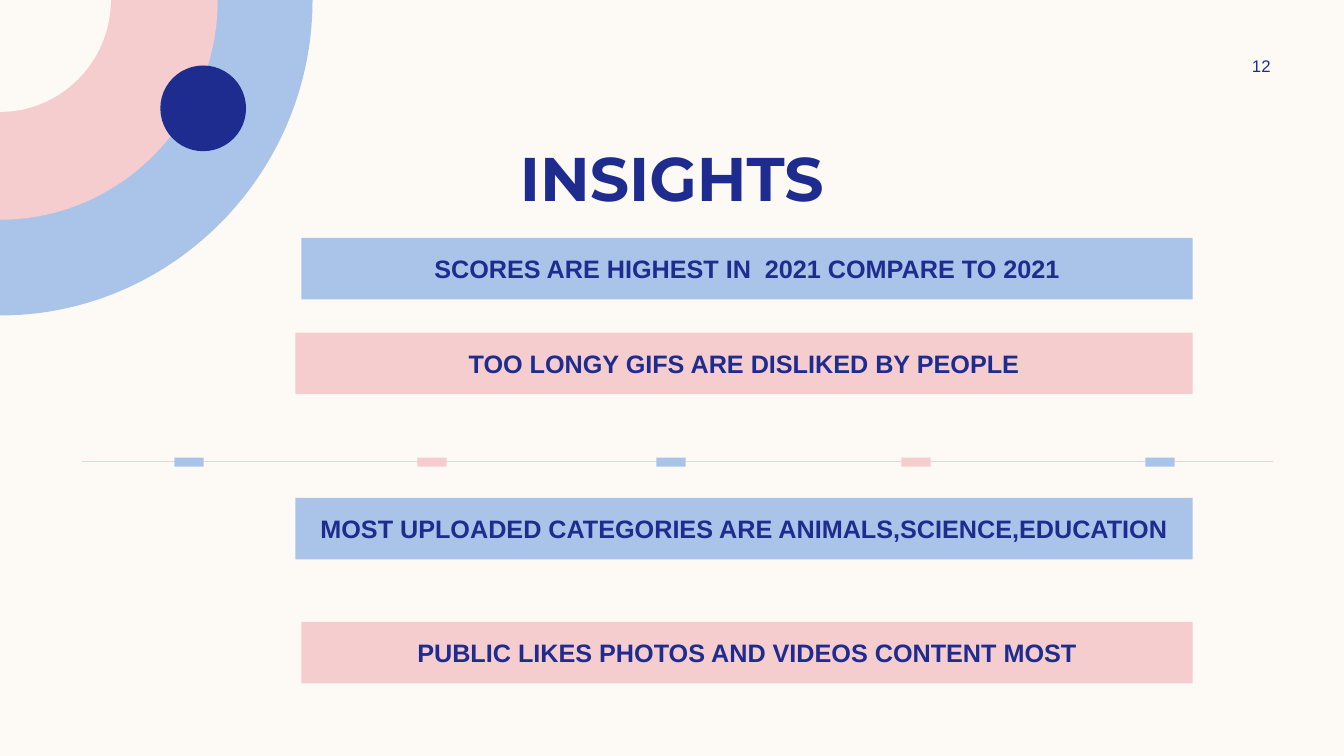
from dataclasses import dataclass

from lxml.etree import SubElement
from pptx import Presentation
from pptx.dml.color import RGBColor
from pptx.enum.shapes import MSO_CONNECTOR, MSO_SHAPE
from pptx.enum.text import MSO_ANCHOR, MSO_AUTO_SIZE, PP_ALIGN
from pptx.oxml.ns import qn
from pptx.util import Inches, Pt


@dataclass(frozen=True)
class Theme:
    cream: RGBColor = RGBColor.from_string("FDFAF6")
    blue: RGBColor = RGBColor.from_string("AAC3E8")
    pink: RGBColor = RGBColor.from_string("F5CDCE")
    navy: RGBColor = RGBColor.from_string("1F2C8F")
    rule: RGBColor = RGBColor.from_string("F2D1D1")
    heading_font: str = "Montserrat"
    body_font: str = "Arial"
    title_size: int = 44
    bar_size: int = 18
    number_size: int = 12


theme = Theme()


def write_text(shape, text, size, font=theme.body_font, bold=False, margin=0.05):
    frame = shape.text_frame
    frame.word_wrap = True
    frame.auto_size = MSO_AUTO_SIZE.NONE
    frame.vertical_anchor = MSO_ANCHOR.MIDDLE
    frame.margin_left = frame.margin_right = Inches(margin)
    frame.margin_top = frame.margin_bottom = Inches(margin)
    paragraph = frame.paragraphs[0]
    paragraph.alignment = PP_ALIGN.CENTER
    run = paragraph.add_run()
    run.text = text
    run.font.name = font
    run.font.size = Pt(size)
    run.font.bold = bold
    run.font.color.rgb = theme.navy


def paint(shape, color):
    shape.shadow.inherit = False
    shape.fill.solid()
    shape.fill.fore_color.rgb = color
    shape.line.fill.background()


presentation = Presentation()
presentation.slide_width = Inches(13.33)
presentation.slide_height = Inches(7.5)
slide = presentation.slides.add_slide(presentation.slide_layouts[5])
slide.background.fill.solid()
slide.background.fill.fore_color.rgb = theme.cream

arc_handle = 0.55
quarter_discs = [
    (3.1, 3.13, theme.blue),
    (2.16, 2.18, theme.pink),
    (1.1, 1.11, theme.cream),
]
for width, height, color in quarter_discs:
    builder = slide.shapes.build_freeform(Inches(width), 0)
    builder.add_line_segments([(0, Inches(height)), (0, 0)], close=True)
    disc = builder.convert_to_shape()
    arc = next(disc.element.iter(qn("a:lnTo")))
    arc.tag = qn("a:cubicBezTo")
    handles = [(width, height * arc_handle), (width * arc_handle, height)]
    for position, (x, y) in enumerate(handles):
        handle = SubElement(arc, qn("a:pt"), x=str(Inches(x)), y=str(Inches(y)))
        arc.insert(position, handle)
    paint(disc, color)

dot = slide.shapes.add_shape(
    MSO_SHAPE.OVAL, Inches(1.59), Inches(0.65), Inches(0.85), Inches(0.85)
)
paint(dot, theme.navy)

timeline = slide.shapes.add_connector(
    MSO_CONNECTOR.STRAIGHT, Inches(0.81), Inches(4.58), Inches(12.63), Inches(4.58)
)
timeline.line.color.rgb = theme.rule
timeline.line.width = Pt(1)
SubElement(timeline.element.spPr, qn("a:effectLst"))

title = slide.shapes.title
title.left, title.top = Inches(0.83), Inches(1.33)
title.width, title.height = Inches(11.67), Inches(0.84)
write_text(title, "INSIGHTS", theme.title_size, font=theme.heading_font, bold=True)

page_number = slide.shapes.add_textbox(Inches(11.97), Inches(0.5), Inches(1.08), Inches(0.3))
write_text(page_number, "12", theme.number_size)

bar_right = 11.83
bars = [
    (2.99, 2.36, theme.blue, "SCORES ARE HIGHEST IN  2021 COMPARE TO 2021"),
    (2.93, 3.3, theme.pink, "TOO LONGY GIFS ARE DISLIKED BY PEOPLE"),
    (2.93, 4.94, theme.blue, "MOST UPLOADED CATEGORIES ARE ANIMALS,SCIENCE,EDUCATION"),
    (2.99, 6.17, theme.pink, "PUBLIC LIKES PHOTOS AND VIDEOS CONTENT MOST"),
]
for left, top, color, text in bars:
    bar = slide.shapes.add_shape(
        MSO_SHAPE.RECTANGLE, Inches(left), Inches(top), Inches(bar_right - left), Inches(0.61)
    )
    paint(bar, color)
    write_text(bar, text, theme.bar_size, bold=True, margin=0)

for index, left in enumerate([1.73, 4.14, 6.51, 8.94, 11.36]):
    marker = slide.shapes.add_shape(
        MSO_SHAPE.RECTANGLE, Inches(left), Inches(4.54), Inches(0.29), Inches(0.09)
    )
    paint(marker, theme.pink if index % 2 else theme.blue)

presentation.save("out.pptx")
